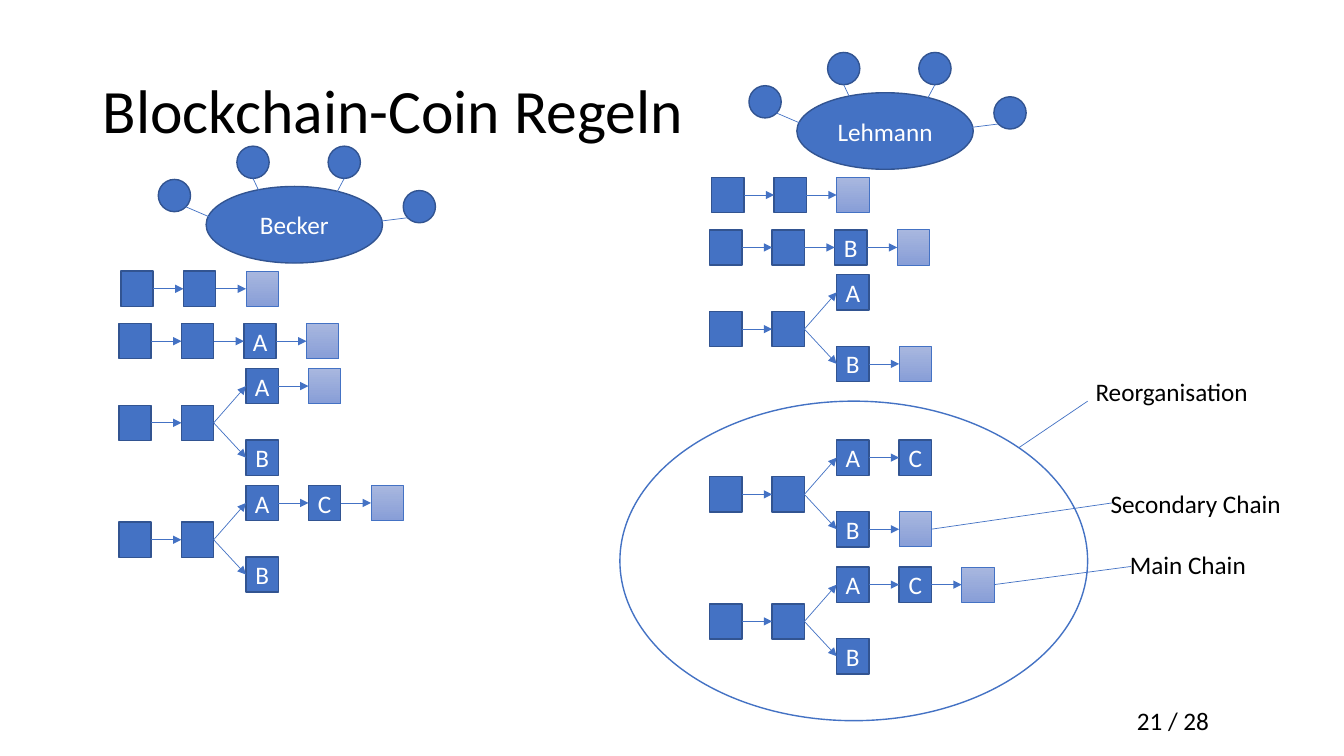
from dataclasses import dataclass

from lxml import etree
from pptx import Presentation, util as u
from pptx.dml.color import RGBColor
from pptx.enum import shapes, text
from pptx.oxml import ns


@dataclass(frozen=True)
class Theme:
    font: str = "Calibri"
    title_size: float = 44
    body_size: float = 18
    ink: str = "000000"
    paper: str = "FFFFFF"
    blue: str = "4472C4"
    edge: str = "325491"
    pale_top: str = "A8B7DF"
    pale_bottom: str = "889ED7"
    thick: float = 1
    thin: float = 0.5


THEME = Theme()

# All lengths are columns and rows of a grid of tenths of an inch
CELL = u.Inches(0.1)
SLIDE_WIDTH, SLIDE_HEIGHT = 133.33, 75
BLOCK_WIDTH, BLOCK_HEIGHT = 3.2, 3.5
STEP = 6.2              # from one block to the next
BRANCH_COLUMN = 12.6    # where a fork's branches start
BRANCH_UP, BRANCH_DOWN = -3.65, 3.45
NODE = 3.2
PALE = "pale"           # a block that is still being mined
TOP, LEFT, BOTTOM, RIGHT = range(4)


def grid(*lengths):
    return [round(length * CELL) for length in lengths]


def color(code):
    return RGBColor.from_string(code)


def write(frame, words, size, ink, align, anchor):
    frame.text = words
    frame.vertical_anchor = anchor
    para = frame.paragraphs[0]
    para.alignment = align
    for span in para.runs:
        span.font.name = THEME.font
        span.font.size = u.Pt(size)
        span.font.color.rgb = color(ink)


def add_figure(page, kind, box, fill=THEME.blue, edge=THEME.edge,
               weight=THEME.thick, words=""):
    figure = page.shapes.add_shape(kind, *grid(*box))
    figure.shadow.inherit = False
    if fill == PALE:
        figure.fill.gradient()
        figure.fill.gradient_angle = 270
        stops = figure.fill.gradient_stops
        stops[0].color.rgb = color(THEME.pale_top)
        stops[1].color.rgb = color(THEME.pale_bottom)
    else:
        figure.fill.solid()
        figure.fill.fore_color.rgb = color(fill)
    figure.line.color.rgb = color(edge)
    figure.line.width = u.Pt(weight)
    if words:
        frame = figure.text_frame
        frame.margin_left = frame.margin_right = 0
        frame.margin_top = frame.margin_bottom = 0
        write(frame, words, THEME.body_size, THEME.paper,
              text.PP_ALIGN.CENTER, text.MSO_ANCHOR.MIDDLE)
    return figure


def add_line(page, start=(0, 0), end=(0, 0), arrow=False):
    line = page.shapes.add_connector(
        shapes.MSO_CONNECTOR.STRAIGHT, *grid(*start, *end))
    line.line.color.rgb = color(THEME.blue)
    line.line.width = u.Pt(THEME.thin)
    properties = line._element.spPr
    if arrow:
        etree.SubElement(line.line._get_or_add_ln(), ns.qn("a:tailEnd"),
                         type="triangle")
    etree.SubElement(properties, ns.qn("a:effectLst"))
    return line


def add_label(page, left, top, width, words):
    box = page.shapes.add_textbox(*grid(left, top, width, 4))
    box.text_frame.word_wrap = True
    write(box.text_frame, words, THEME.body_size, THEME.ink,
          text.PP_ALIGN.LEFT, text.MSO_ANCHOR.TOP)


def add_title(page, words):
    title = page.shapes.title
    title.left, title.top, title.width, title.height = grid(9.2, 4, 115, 14.5)
    write(title.text_frame, words, THEME.title_size, THEME.ink,
          text.PP_ALIGN.LEFT, text.MSO_ANCHOR.MIDDLE)
    title.text_frame.auto_size = text.MSO_AUTO_SIZE.NONE
    title.text_frame.paragraphs[0].line_spacing = 0.9


def add_miner(page, left, top, name):
    """An oval with the miner's name and four neighbouring nodes."""
    add_figure(page, shapes.MSO_SHAPE.OVAL,
               (left + 8.65, top + 4, 17.5, 7.6), words=name)
    # Node corner, then the two ends of its link to the oval
    links = [((3.9, 3.3), (6.6, 6), (10.1, 7.5)),
             ((11.7, 0), (13.3, 3.2), (14.1, 4.9)),
             ((20.75, 0), (22.35, 3.2), (21.45, 4.9)),
             ((28.2, 4.4), (28.65, 7.1), (23.05, 7.8))]
    for corner, start, end in links:
        add_figure(page, shapes.MSO_SHAPE.OVAL,
                   (left + corner[0], top + corner[1], NODE, NODE))
        add_line(page, (left + start[0], top + start[1]),
                 (left + end[0], top + end[1]))


def add_chain(page, left, top, blocks, parent=None):
    """A row of linked blocks; returns the last one."""
    for column, block in enumerate(blocks):
        box = (left + column * STEP, top, BLOCK_WIDTH, BLOCK_HEIGHT)
        if block == PALE:
            figure = add_figure(page, shapes.MSO_SHAPE.RECTANGLE, box, PALE,
                                THEME.blue, THEME.thin)
        else:
            figure = add_figure(page, shapes.MSO_SHAPE.RECTANGLE, box,
                                words=block)
        if parent is not None:
            arrow = add_line(page, arrow=True)
            arrow.begin_connect(parent, RIGHT)
            arrow.end_connect(figure, LEFT)
        parent = figure
    return parent


def add_fork(page, left, top, upper, lower):
    """Two shared blocks that split; returns the end of each branch."""
    trunk = add_chain(page, left, top, ["", ""])
    return [add_chain(page, left + BRANCH_COLUMN, top + shift, branch, trunk)
            for shift, branch in ((BRANCH_UP, upper), (BRANCH_DOWN, lower))]


def add_panel(page, left, top, name, first_block, forks):
    """One miner's view of the chain; returns the branch ends of each fork."""
    add_miner(page, left, top, name)
    add_chain(page, left + 0.2, top + 12.4, ["", "", PALE])
    add_chain(page, left, top + 17.6, ["", "", first_block, PALE])
    return [add_fork(page, left, top + row, upper, lower)
            for row, upper, lower in forks]


def add_callouts(page, secondary_end, main_end):
    add_line(page, (101.1, 44.4), (107.9, 39.8))
    for block, end in ((secondary_end, (110.3, 49.9)),
                       (main_end, (112.2, 56.2))):
        add_line(page, end=end).begin_connect(block, RIGHT)
    for left, top, words in ((107.7, 36.8, "Reorganisation"),
                             (109.2, 48, "Secondary Chain"),
                             (111.1, 54, "Main Chain")):
        add_label(page, left, top, 21.7, words)


def main():
    deck = Presentation()
    deck.slide_width, deck.slide_height = grid(SLIDE_WIDTH, SLIDE_HEIGHT)
    page = deck.slides.add_slide(deck.slide_layouts[5])

    # Title, page number and the ring around the reorganisation
    add_title(page, "Blockchain-Coin Regeln")
    add_label(page, 111.8, 69.5, 12.4, "21 / 28")
    add_figure(page, shapes.MSO_SHAPE.OVAL, (61.5, 39.8, 46.4, 31.7),
               THEME.paper, THEME.blue)

    # The two miners' views
    add_panel(page, 11.8, 14.5, "Becker", "A",
              [(25.7, ["A", PALE], ["B"]),
               (37.3, ["A", "C", PALE], ["B"])])
    forks = add_panel(page, 70.4, 5.2, "Lehmann", "B",
                      [(25.7, ["A"], ["B", PALE]),
                       (42.1, ["A", "C"], ["B", PALE]),
                       (54.7, ["A", "C", PALE], ["B"])])

    # Names of the competing chains
    add_callouts(page, secondary_end=forks[1][1], main_end=forks[2][0])
    deck.save("out.pptx")


if __name__ == "__main__":
    main()
